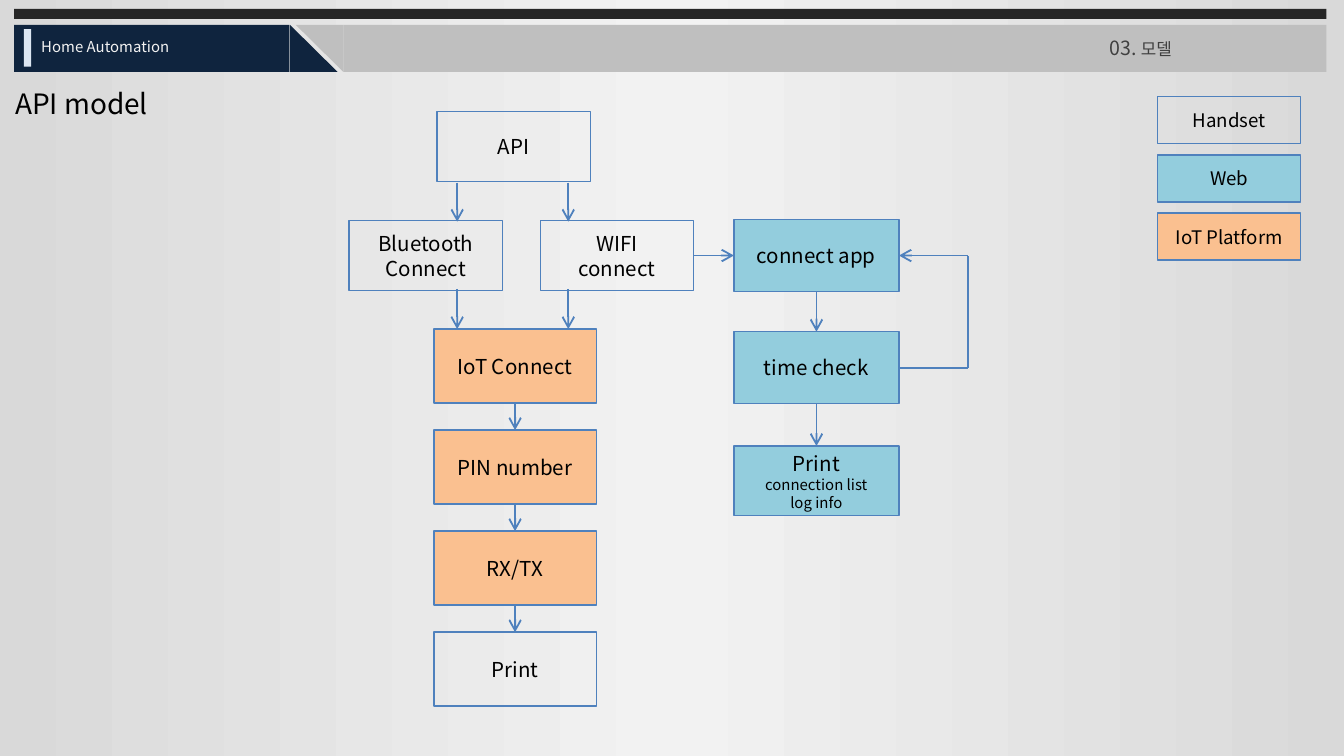
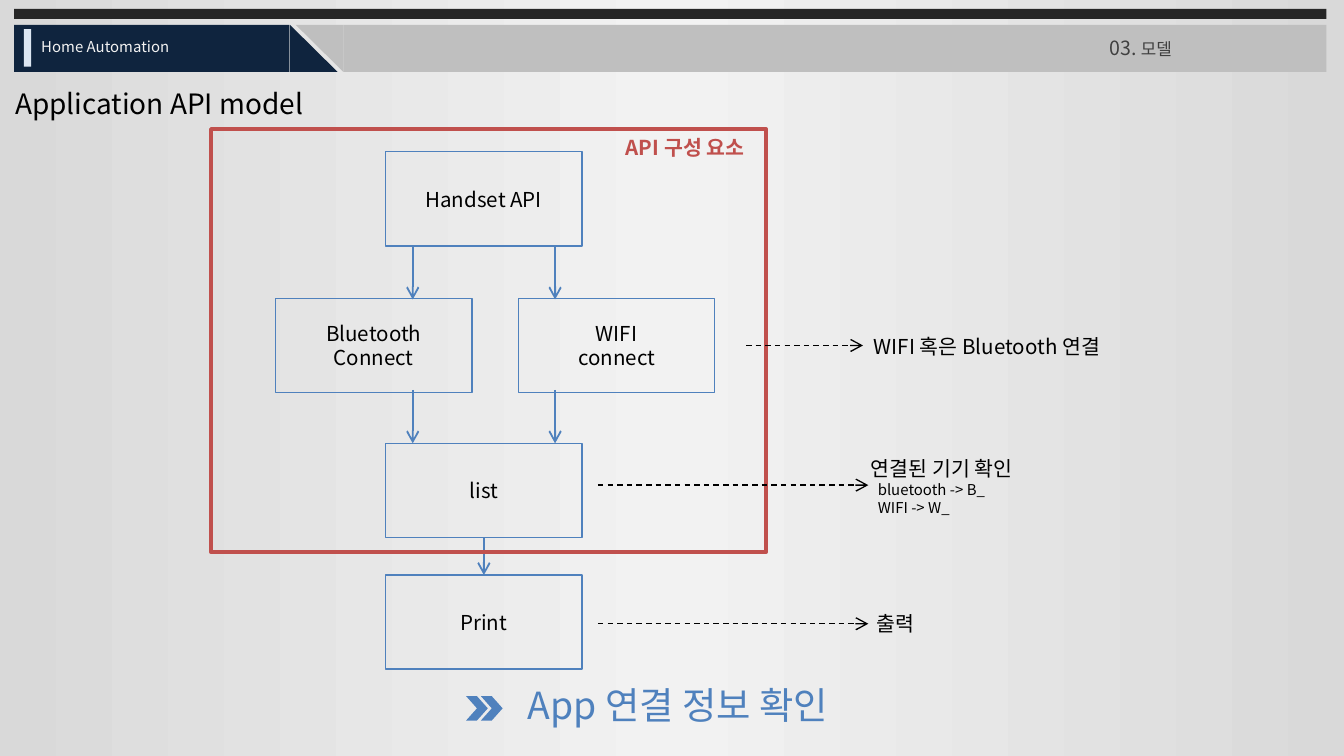
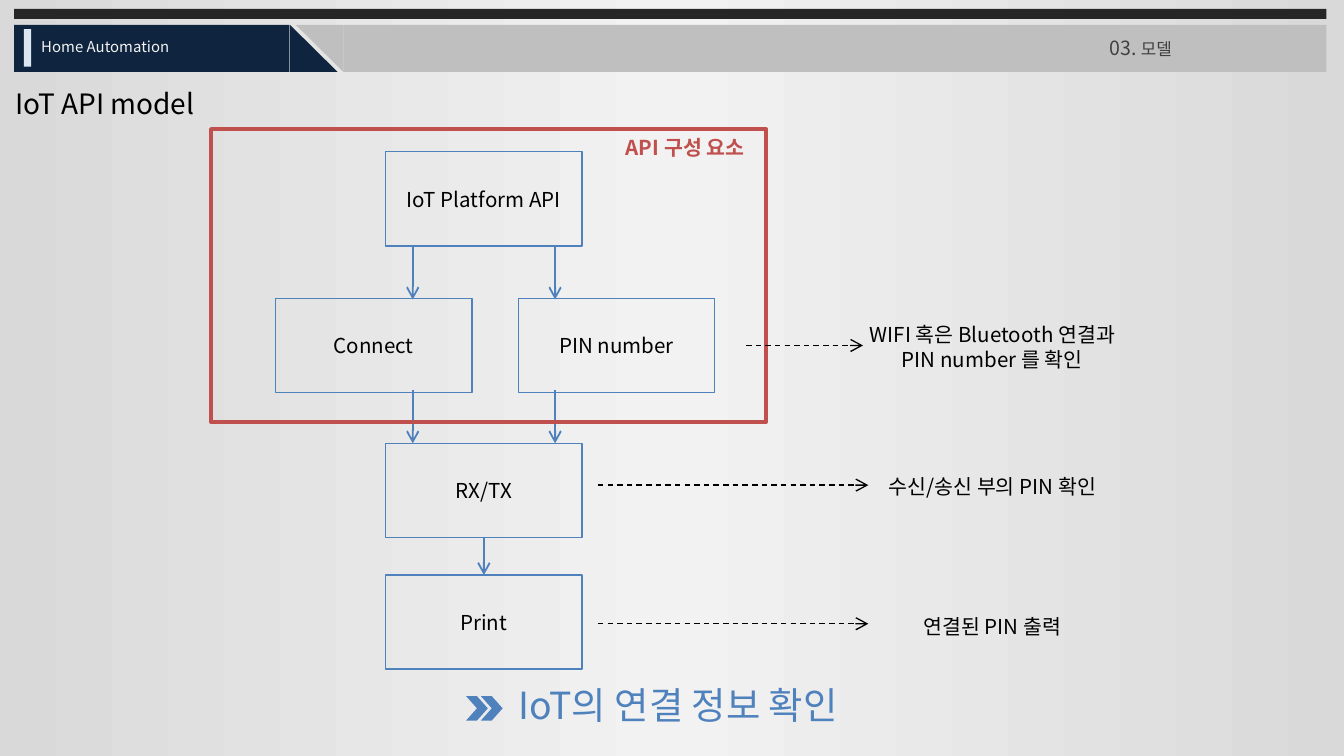
from copy import deepcopy

from lxml.etree import SubElement
from pptx import Presentation
from pptx.dml.color import RGBColor
from pptx.enum.dml import MSO_LINE
from pptx.enum.shapes import MSO_CONNECTOR, MSO_SHAPE
from pptx.enum.text import MSO_ANCHOR, MSO_AUTO_SIZE, PP_ALIGN
from pptx.oxml.ns import qn
from pptx.util import Cm, Pt

FONT = "Noto Sans CJK KR"
BLACK = RGBColor(0x00, 0x00, 0x00)
CHARCOAL = RGBColor(0x26, 0x26, 0x26)
DARK_GRAY = RGBColor(0x40, 0x40, 0x40)
GRAY = RGBColor(0xBF, 0xBF, 0xBF)
EDGE_GRAY = RGBColor(0xD9, 0xD9, 0xD9)
PALE_GRAY = RGBColor(0xF2, 0xF2, 0xF2)
NAVY = RGBColor(0x0F, 0x24, 0x3E)
PALE_BLUE = RGBColor(0xDC, 0xE6, 0xF2)
BLUE = RGBColor(0x4F, 0x81, 0xBD)
RED = RGBColor(0xC0, 0x50, 0x4D)
AQUA = RGBColor(0x93, 0xCD, 0xDD)
ORANGE = RGBColor(0xFA, 0xC0, 0x90)

TOP, LEFT, BOTTOM, RIGHT = range(4)


def set_background(deck):
    master = deck.slide_master
    fill = master.background.fill
    fill.gradient()
    fill.gradient_angle = 0
    stop_list = master.element.xpath(".//p:bg//a:gsLst")[0]
    stop_list.insert(1, deepcopy(stop_list[0]))
    stops = zip(fill.gradient_stops, (0, 0.5, 1), (EDGE_GRAY, PALE_GRAY, EDGE_GRAY))
    for stop, position, color in stops:
        stop.position = position
        stop.color.rgb = color


def format_paragraph(para, size, color, align, bold=False):
    para.alignment = align
    font = para.font
    font.name = FONT
    font.size = Pt(size)
    font.bold = bold
    font.color.rgb = color
    properties = para._p.get_or_add_pPr().get_or_add_defRPr()
    SubElement(properties, qn("a:ea")).set("typeface", FONT)


def write(box, text, size=11, color=BLACK, align=PP_ALIGN.CENTER,
          anchor=MSO_ANCHOR.MIDDLE, bold=False, details=(), detail_indent=0):
    frame = box.text_frame
    frame.word_wrap = True
    frame.auto_size = MSO_AUTO_SIZE.NONE
    frame.vertical_anchor = anchor
    lines = [(line, size, 0) for line in text.split("\n")]
    lines += [(line, 8, detail_indent) for line in details]
    for index, (line, line_size, indent) in enumerate(lines):
        para = frame.add_paragraph() if index else frame.paragraphs[0]
        para.text = line
        format_paragraph(para, line_size, color, align, bold)
        if indent:
            para._p.get_or_add_pPr().set("marL", str(Cm(indent)))
    return para


def place(left, top, width, height):
    return Cm(left), Cm(top), Cm(width), Cm(height)


def add_shape(page, bounds, fill=None, line=None, line_width=0.75,
              kind=MSO_SHAPE.RECTANGLE):
    shape = page.shapes.add_shape(kind, *place(*bounds))
    shape.shadow.inherit = False
    if fill is None:
        shape.fill.background()
    else:
        shape.fill.solid()
        shape.fill.fore_color.rgb = fill
    if line is None:
        shape.line.fill.background()
    else:
        shape.line.color.rgb = line
        shape.line.width = Pt(line_width)
    return shape


def add_box(page, bounds, text, fill=None, **style):
    box = add_shape(page, bounds, fill, BLUE)
    write(box, text, **style)
    return box


def add_text(page, bounds, text, **style):
    return write(page.shapes.add_textbox(*place(*bounds)), text, **style)


def add_line(page, start, end, color=BLUE, width=1, dashed=False, arrow=True):
    line = page.shapes.add_connector(
        MSO_CONNECTOR.STRAIGHT, *(Cm(length) for length in (*start, *end)))
    line.line.color.rgb = color
    line.line.width = Pt(width)
    if dashed:
        line.line.dash_style = MSO_LINE.DASH
    if arrow:
        SubElement(line.line._get_or_add_ln(), qn("a:tailEnd")).set("type", "arrow")
    SubElement(line._element.spPr, qn("a:effectLst"))
    return line


def join(page, first, first_side, second, second_side):
    line = add_line(page, (0, 0), (0, 0))
    line.begin_connect(first, first_side)
    line.end_connect(second, second_side)


def join_column(page, boxes):
    for upper, lower in zip(boxes, boxes[1:]):
        join(page, upper, BOTTOM, lower, TOP)


def add_arrow_pairs(page, columns, spans):
    for top, bottom in spans:
        for x in columns:
            add_line(page, (x, top), (x, bottom))


def add_page(deck, title):
    page = deck.slides.add_slide(deck.slide_layouts[5])
    heading = page.shapes.title
    heading.left, heading.top, heading.width, heading.height = place(0.03, 1.5, 10.08, 0.89)
    write(heading, title, size=15, align=PP_ALIGN.LEFT)

    add_shape(page, (0.27, 0.17, 24.8, 0.19), CHARCOAL)
    add_shape(page, (0.27, 0.47, 5.2, 0.89), NAVY)
    add_shape(page, (5.48, 0.47, 0.9, 0.89), NAVY, kind=MSO_SHAPE.RIGHT_TRIANGLE)
    add_shape(page, (6.49, 0.47, 18.58, 0.89), GRAY)
    corner = add_shape(page, (5.59, 0.47, 0.9, 0.89), GRAY, kind=MSO_SHAPE.RIGHT_TRIANGLE)
    corner.rotation = 180
    add_shape(page, (0.45, 0.55, 0.14, 0.71), PALE_BLUE)

    style = {"align": PP_ALIGN.LEFT, "anchor": MSO_ANCHOR.TOP}
    add_text(page, (0.53, 0.58, 3.81, 0.61), "Home Automation", size=8,
             color=PALE_GRAY, **style)
    section = add_text(page, (20.72, 0.56, 4.6, 0.71), "03. ", size=10.5,
                       color=DARK_GRAY, **style)
    span = section.add_run()
    span.text = "모델"
    span.font.size = Pt(9)
    return page


def add_legend(page, entries):
    for index, (text, fill) in enumerate(entries):
        add_box(page, (21.88, 1.83 + 1.1 * index, 2.7, 0.89), text, fill, size=10)


def build_overview(deck):
    page = add_page(deck, "API model")
    add_box(page, (8.26, 2.11, 2.9, 1.32), "API")
    add_box(page, (6.6, 4.17, 2.9, 1.32), "Bluetooth Connect")
    wifi = add_box(page, (10.21, 4.17, 2.9, 1.32), "WIFI\nconnect")
    add_arrow_pairs(page, (8.64, 10.74), ((3.45, 4.19), (5.46, 6.22)))

    steps = (("IoT Connect", ORANGE), ("PIN number", ORANGE), ("RX/TX", ORANGE), ("Print", None))
    join_column(page, [
        add_box(page, (8.2, 6.22 + 1.91 * index, 3.07, 1.4), text, fill)
        for index, (text, fill) in enumerate(steps)])

    connect_app = add_box(page, (13.87, 4.15, 3.12, 1.36), "connect app", AQUA)
    time_check = add_box(page, (13.87, 6.27, 3.12, 1.36), "time check", AQUA)
    web_print = add_box(page, (13.87, 8.43, 3.12, 1.32), "Print", AQUA,
                        details=("connection list", "log info"))
    join_column(page, (connect_app, time_check, web_print))
    join(page, wifi, RIGHT, connect_app, LEFT)

    loop_x, loop_top, loop_bottom = 18.29, 4.83, 6.95
    leave = add_line(page, (16.99, loop_bottom), (loop_x, loop_bottom), arrow=False)
    leave.begin_connect(time_check, RIGHT)
    add_line(page, (loop_x, loop_bottom), (loop_x, loop_top), arrow=False)
    come_back = add_line(page, (loop_x, loop_top), (16.99, loop_top))
    come_back.end_connect(connect_app, RIGHT)

    add_legend(page, (("Handset", None), ("Web", AQUA), ("IoT Platform", ORANGE)))


def build_flow(deck, title, steps, frame_height, notes, summary):
    page = add_page(deck, title)
    places = ((7.29, 2.87), (5.21, 5.64), (9.8, 5.64), (7.29, 8.38), (7.29, 10.87))
    boxes = [add_box(page, (*corner, 3.71, 1.78), text)
             for corner, text in zip(places, steps)]
    add_arrow_pairs(page, (7.8, 10.49), ((4.65, 5.66), (7.37, 8.38)))
    join_column(page, boxes[-2:])

    add_shape(page, (3.99, 2.44, 10.49, frame_height), line=RED, line_width=2)
    add_text(page, (11.4, 2.44, 3.1, 0.69), "API 구성 요소", color=RED, bold=True)

    for start, end, y in ((14.1, 16.31, 6.53), (11.3, 16.41, 9.17), (11.3, 16.41, 11.79)):
        add_line(page, (start, y), (end, y), BLACK, 0.75, dashed=True)
    for bounds, text, style in notes:
        add_text(page, bounds, text, **style)

    for left in (9.09, 8.81):
        add_shape(page, (left, 13.16, 0.41, 0.46), BLUE, kind=MSO_SHAPE.CHEVRON)
    add_text(page, (8.51, 13, 8.61, 0.64), summary, size=20, color=BLUE)


def main():
    deck = Presentation()
    deck.slide_width = Cm(25.4)
    deck.slide_height = Cm(14.29)
    set_background(deck)

    build_overview(deck)
    build_flow(
        deck, "Application API model",
        ("Handset API", "Bluetooth Connect", "WIFI\nconnect", "list", "Print"), 8,
        (((16, 5.92, 5.31, 1.27), "WIFI 혹은 Bluetooth 연결", {}),
         ((16.21, 8.56, 3.61, 1.27), "연결된 기기 확인",
          {"align": PP_ALIGN.LEFT, "details": ("bluetooth -> B_", "WIFI -> W_"),
           "detail_indent": 0.13}),
         ((16.31, 11.15, 1.4, 1.27), "출력", {"align": PP_ALIGN.LEFT})),
        "App 연결 정보 확인")
    build_flow(
        deck, "IoT API model",
        ("IoT Platform API", "Connect", "PIN number", "RX/TX", "Print"), 5.54,
        (((16, 5.92, 5.51, 1.27), "WIFI 혹은 Bluetooth 연결과 PIN number 를 확인", {}),
         ((16.1, 8.56, 5.31, 1.27), "수신/송신 부의 PIN 확인", {}),
         ((16.1, 11.2, 5.31, 1.27), "연결된 PIN 출력", {})),
        "IoT의 연결 정보 확인")
    deck.save("out.pptx")


if __name__ == "__main__":
    main()
